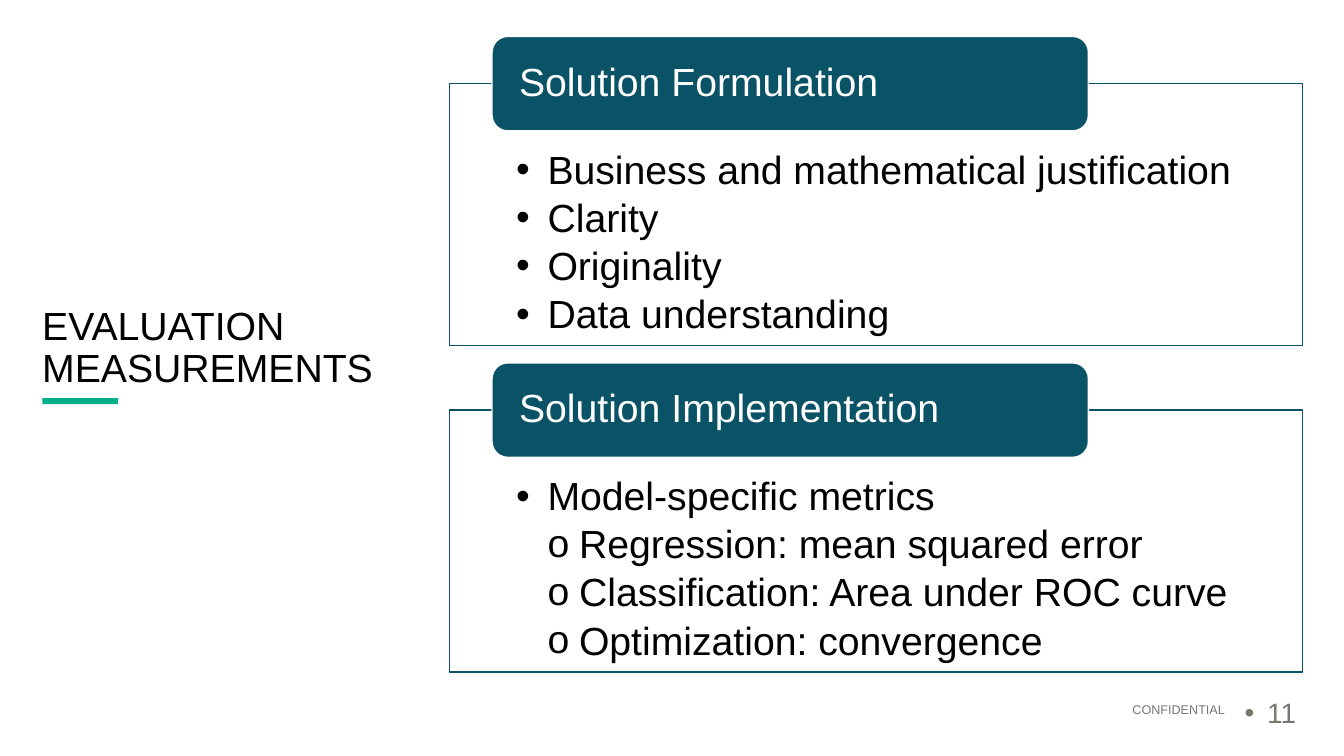
from lxml import etree
from pptx import Presentation
from pptx import util as u
from pptx.dml.color import RGBColor
from pptx.enum import shapes, text
from pptx.oxml.ns import qn

TEAL, GREEN, GRAY = "0A5265", "01B08A", "787871"
BLACK, WHITE = "000000", "FFFFFF"
SHAPE, ALIGN, ANCHOR = shapes.MSO_SHAPE, text.PP_ALIGN, text.MSO_ANCHOR


def color(code):
    return RGBColor.from_string(code)


class Deck:
    """Holds the text style and the current slide."""
    font = "Arial"
    size = 28
    lead = 0.9

    def __init__(self, wide, high):
        self.prs = Presentation()
        self.prs.slide_width = u.Pt(wide)
        self.prs.slide_height = u.Pt(high)
        self.slide = self.prs.slides.add_slide(self.prs.slide_layouts[6])

    def shape(self, kind, box, fill, line=None, alpha=None):
        item = self.slide.shapes.add_shape(kind, *map(u.Pt, box))
        item.shadow.inherit = False
        item.fill.solid()
        item.fill.fore_color.rgb = color(fill)
        if alpha:
            tone = item.fill._xPr.find(qn("a:solidFill"))[0]
            etree.SubElement(tone, qn("a:alpha"), val=str(alpha * 1000))
        if line:
            item.line.color.rgb = color(line)
            item.line.width = u.Pt(1)
        else:
            item.line.fill.background()
        return item

    def label(self, box, lines, **style):
        item = self.slide.shapes.add_textbox(*map(u.Pt, box))
        self.words(item, lines, **style)

    def words(self, item, lines, inset=(0, 0, 0, 0), anchor=ANCHOR.TOP,
              align=ALIGN.LEFT, size=None, ink=BLACK, step=0, gap=0):
        """Fill an item with (level, line) pairs; level 0 has no bullet."""
        frame = item.text_frame
        frame.word_wrap = True
        frame.vertical_anchor = anchor
        (frame.margin_left, frame.margin_top,
         frame.margin_right, frame.margin_bottom) = map(u.Pt, inset)
        for i, (level, line) in enumerate(lines):
            para = frame.add_paragraph() if i else frame.paragraphs[0]
            para.alignment = align
            para.line_spacing = self.lead
            para.space_before = u.Pt(gap if i else 0)
            if level:
                self.bullet(para, level, step, ink)
            run = para.add_run()
            run.text = line
            run.font.name = self.font
            run.font.size = u.Pt(size or self.size)
            run.font.color.rgb = color(ink)

    def bullet(self, para, level, step, ink):
        props = para._p.get_or_add_pPr()
        props.set("marL", str(u.Pt(level * step)))
        props.set("indent", str(-u.Pt(step)))
        tone = etree.SubElement(props, qn("a:buClr"))
        etree.SubElement(tone, qn("a:srgbClr"), val=ink)
        etree.SubElement(props, qn("a:buFont"), typeface=self.font)
        etree.SubElement(props, qn("a:buChar"), char="•o"[level - 1])

    def panel(self, top, head, lines):
        """A framed list with a rounded heading over its top edge."""
        frame = self.shape(SHAPE.RECTANGLE, (321.1, top + 33.8, 609.1, 187.2),
                           WHITE, TEAL, alpha=90)
        self.words(frame, lines, inset=(47.5, 47.5, 47.5, 15.8),
                   step=22.5, gap=4.2)
        tab = self.shape(SHAPE.ROUNDED_RECTANGLE, (351.5, top, 426, 67.5),
                         TEAL, WHITE)
        self.words(tab, [(0, head)], inset=(16, 0, 16, 0),
                   anchor=ANCHOR.MIDDLE, ink=WHITE)


def main():
    deck = Deck(960, 540)

    # Title and accent bar
    deck.shape(SHAPE.RECTANGLE, (30.2, 284.4, 54, 4.3), GREEN)
    deck.label((30.2, 211, 278.6, 68.4), [(0, "EVALUATION MEASUREMENTS")],
               anchor=ANCHOR.BOTTOM)

    # Footer and page number
    pad = (7.2, 3.6, 7.2, 3.6)
    deck.label((558, 499, 324, 17.3), [(0, "CONFIDENTIAL")], inset=pad,
               align=ALIGN.RIGHT, size=9, ink=GRAY)
    deck.label((882, 496, 54, 28.8), [(1, "11")], inset=pad,
               anchor=ANCHOR.MIDDLE, size=20, ink=GRAY, step=16)

    # Panels
    panels = [
        ("Solution Formulation", [
            (1, "Business and mathematical justification"),
            (1, "Clarity"),
            (1, "Originality"),
            (1, "Data understanding")]),
        ("Solution Implementation", [
            (1, "Model-specific metrics"),
            (2, "Regression: mean squared error"),
            (2, "Classification: Area under ROC curve"),
            (2, "Optimization: convergence")]),
    ]
    for i, (head, lines) in enumerate(panels):
        deck.panel(26 + i * 233.2, head, lines)

    deck.prs.save("out.pptx")


if __name__ == "__main__":
    main()
